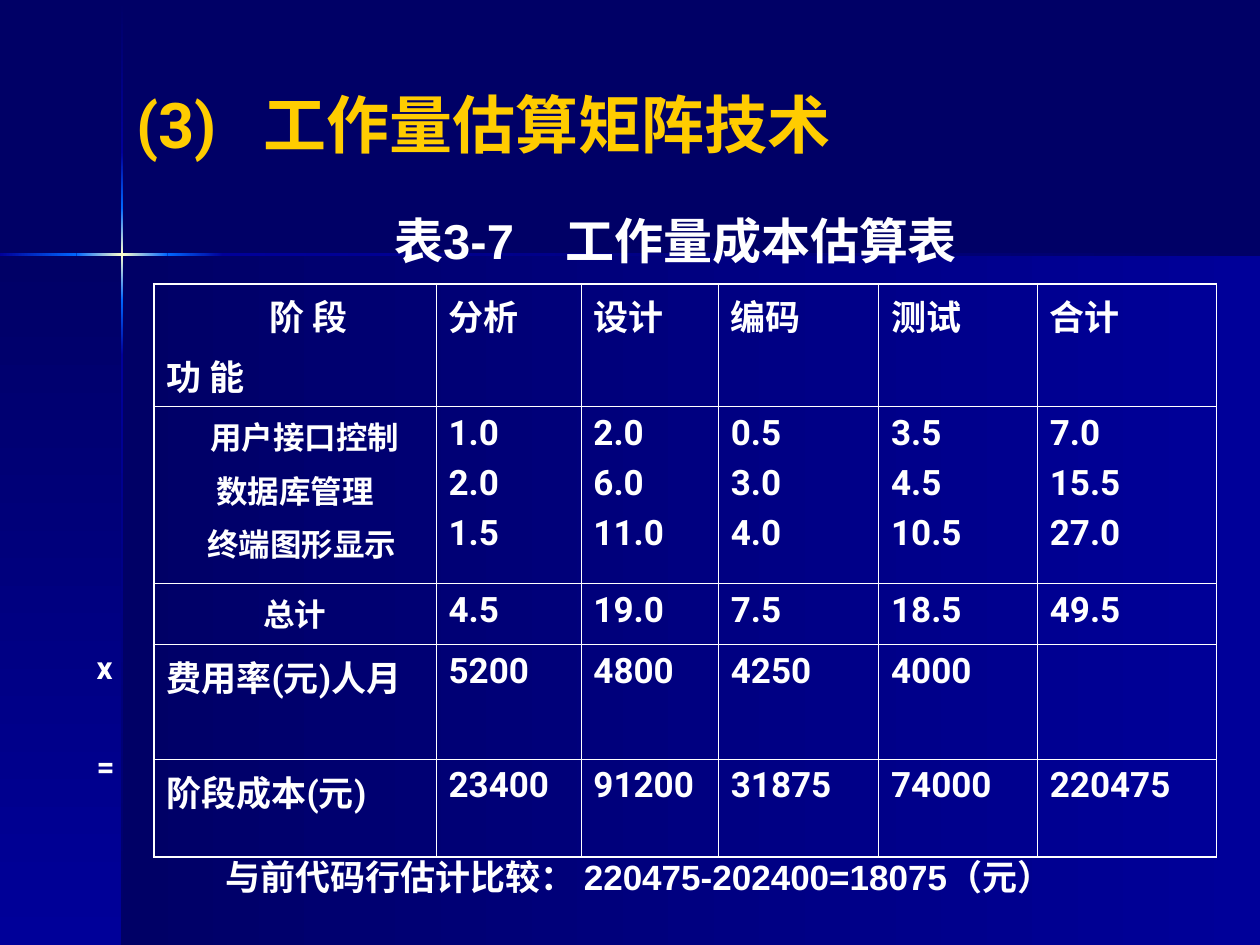
from copy import deepcopy
from itertools import pairwise

from lxml import etree
from pptx import Presentation
from pptx.dml.color import RGBColor
from pptx.enum.shapes import MSO_SHAPE
from pptx.enum.text import MSO_ANCHOR, MSO_AUTO_SIZE, PP_ALIGN
from pptx.oxml.ns import qn
from pptx.util import Cm, Pt

RECTANGLE = MSO_SHAPE.RECTANGLE
LEFT, CENTER = PP_ALIGN.LEFT, PP_ALIGN.CENTER
MIDDLE = MSO_ANCHOR.MIDDLE
FIXED, GROW = MSO_AUTO_SIZE.NONE, MSO_AUTO_SIZE.SHAPE_TO_FIT_TEXT

NAVY, BLUE, AZURE, CREAM = "000066", "000099", "0066FF", "FFFFCC"
WHITE, GOLD = "FFFFFF", "FFCC00"
DOWN, ACROSS = 270, 0
THIN, THICK = 0.45, 1.08

COLUMN_WIDTHS = [5.69, 2.92, 2.77, 3.23, 3.2, 3.61]
ROW_HEIGHTS = [2.21, 3.56, 1.24, 2.21, 1.98]
STAGES = ["分析", "设计", "编码", "测试", "合计"]
EFFORTS = [
    ["1.0", "2.0", "1.5"],
    ["2.0", "6.0", "11.0"],
    ["0.5", "3.0", "4.0"],
    ["3.5", "4.5", "10.5"],
    ["7.0", "15.5", "27.0"],
]
TOTALS = ["4.5", "19.0", "7.5", "18.5", "49.5"]
RATES = ["5200", "4800", "4250", "4000", ""]
COSTS = ["23400", "91200", "31875", "74000", "220475"]


def color(value):
    return RGBColor.from_string(value)


def write(para, text, size=20, font="Roboto", ink=WHITE, align=LEFT,
          before=0, indent=0, tab=None):
    para.alignment = align
    para.space_before = Pt(before)
    properties = para._p.get_or_add_pPr()
    if indent:
        properties.set("marL", str(Cm(indent)))
        properties.set("indent", "0")
    if tab:
        stops = etree.SubElement(properties, qn("a:tabLst"))
        etree.SubElement(stops, qn("a:tab"), pos=str(Cm(tab)), algn="l")
    span = para.add_run()
    span.text = text
    span.font.name = font
    span.font.size = Pt(size)
    span.font.bold = True
    span.font.color.rgb = color(ink)


def add_glow(page, box, colors, angle):
    panel = page.shapes.add_shape(RECTANGLE, *map(Cm, box))
    panel.shadow.inherit = False
    panel.line.fill.background()
    panel.fill.gradient()
    panel.fill.gradient_angle = angle
    stop_list = panel.element.spPr.find(".//" + qn("a:gsLst"))
    while len(stop_list) < len(colors):
        stop_list.append(deepcopy(stop_list[-1]))
    for number, (stop, value) in enumerate(zip(panel.fill.gradient_stops, colors)):
        stop.position = number / (len(colors) - 1)
        stop.color.rgb = color(value)


def add_backdrop(page, box):
    left, top, width, height = box
    cross_x, cross_y, thickness = left + 2.46, top + 5.13, 0.05
    right, bottom = left + width, top + height
    add_glow(page, (cross_x, cross_y, right - cross_x, bottom - cross_y),
             [NAVY, BLUE], ACROSS)
    add_glow(page, (left, cross_y, cross_x - left, bottom - cross_y),
             [NAVY, BLUE], DOWN)

    beam = [[NAVY, BLUE], [BLUE, AZURE], [AZURE, CREAM, AZURE],
            [AZURE, BLUE], [BLUE, NAVY]]
    column_cuts = [top, top + 3.07, top + 4.19, top + 6.05, top + 7.16, bottom]
    for (start, end), colors in zip(pairwise(column_cuts), beam):
        add_glow(page, (cross_x - thickness / 2, start, thickness, end - start),
                 colors, DOWN)
    row_cuts = [left, left + 1.54, left + 3.38, left + 4.5, right]
    for (start, end), colors in zip(pairwise(row_cuts), beam[1:]):
        add_glow(page, (start, cross_y - thickness / 2, end - start, thickness),
                 colors, ACROSS)


def add_title(page, box):
    title = page.shapes.title
    title.left, title.top, title.width, title.height = map(Cm, box)
    title.element.getparent().append(title.element)
    frame = title.text_frame
    frame.auto_size = FIXED
    frame.vertical_anchor = MIDDLE
    write(frame.paragraphs[0], "(3)\t工作量估算矩阵技术", size=36, ink=GOLD, tab=2.57)


def add_label(page, box, text, **style):
    frame = page.shapes.add_textbox(*map(Cm, box)).text_frame
    frame.word_wrap = True
    frame.auto_size = GROW
    write(frame.paragraphs[0], text, **style)


def fill_cell(cell, lines):
    for number, (text, style) in enumerate(lines):
        frame = cell.text_frame
        para = frame.add_paragraph() if number else frame.paragraphs[0]
        write(para, text, **style)


def set_borders(cell, widths):
    properties = cell._tc.get_or_add_tcPr()
    for side, width in widths.items():
        line = etree.SubElement(properties, qn("a:ln" + side), w=str(Pt(width)))
        paint = etree.SubElement(line, qn("a:solidFill"))
        etree.SubElement(paint, qn("a:srgbClr"), val=WHITE)
    cell.fill.background()


def cost_rows():
    plain = {"before": 5}
    centered = {"size": 18, "before": 4.5, "align": CENTER}
    heads = [
        [("阶 段", plain | {"indent": 2.08}), ("功 能", plain)],
        [("用户接口控制", centered | {"indent": 0.4}),
         ("数据库管理", centered),
         ("终端图形显示", centered | {"indent": 0.28})],
        [("总计", centered)],
        [("费用率(元)人月", plain)],
        [("阶段成本(元)", plain)],
    ]
    singles = [[[text] if text else [] for text in row]
               for row in (STAGES, TOTALS, RATES, COSTS)]
    bodies = [singles[0], EFFORTS, *singles[1:]]
    return [[head] + [[(text, plain) for text in texts] for texts in body]
            for head, body in zip(heads, bodies)]


def add_cost_table(page, box):
    rows = cost_rows()
    last_row, last_column = len(ROW_HEIGHTS) - 1, len(COLUMN_WIDTHS) - 1
    table = page.shapes.add_table(last_row + 1, last_column + 1, *map(Cm, box)).table
    table.first_row = table.horz_banding = False
    for column, width in zip(table.columns, COLUMN_WIDTHS):
        column.width = Cm(width)
    for row, height in zip(table.rows, ROW_HEIGHTS):
        row.height = Cm(height)
    for y, row in enumerate(rows):
        for x, lines in enumerate(row):
            cell = table.cell(y, x)
            fill_cell(cell, lines)
            set_borders(cell, {
                "L": THIN if x else THICK,
                "R": THICK if x == last_column else THIN,
                "T": THIN if y else THICK,
                "B": THICK if y == last_row else THIN,
            })


def main():
    deck = Presentation()
    deck.slide_width, deck.slide_height = Cm(25.4), Cm(19.05)
    page = deck.slides.add_slide(deck.slide_layouts[5])
    page.background.fill.solid()
    page.background.fill.fore_color.rgb = color(NAVY)

    add_backdrop(page, (0, 0, 25.4, 19.05))
    add_title(page, (2.49, 0.84, 21.41, 3.28))
    add_cost_table(page, (3.1, 5.72, sum(COLUMN_WIDTHS), sum(ROW_HEIGHTS)))
    add_label(page, (7.7, 4.11, 14, 1.45), "表3-7\t工作量成本估算表",
              size=28, font="Arial", tab=3.45)
    add_label(page, (4.29, 17.12, 17.86, 1.12),
              "与前代码行估计比较： 220475-202400=18075（元）", font="Arial")
    add_label(page, (1.7, 12.93, 1.4, 1.02), "x", size=18, before=4.5)
    add_label(page, (1.7, 14.94, 1.4, 1.02), "=", size=18)
    deck.save("out.pptx")


if __name__ == "__main__":
    main()
